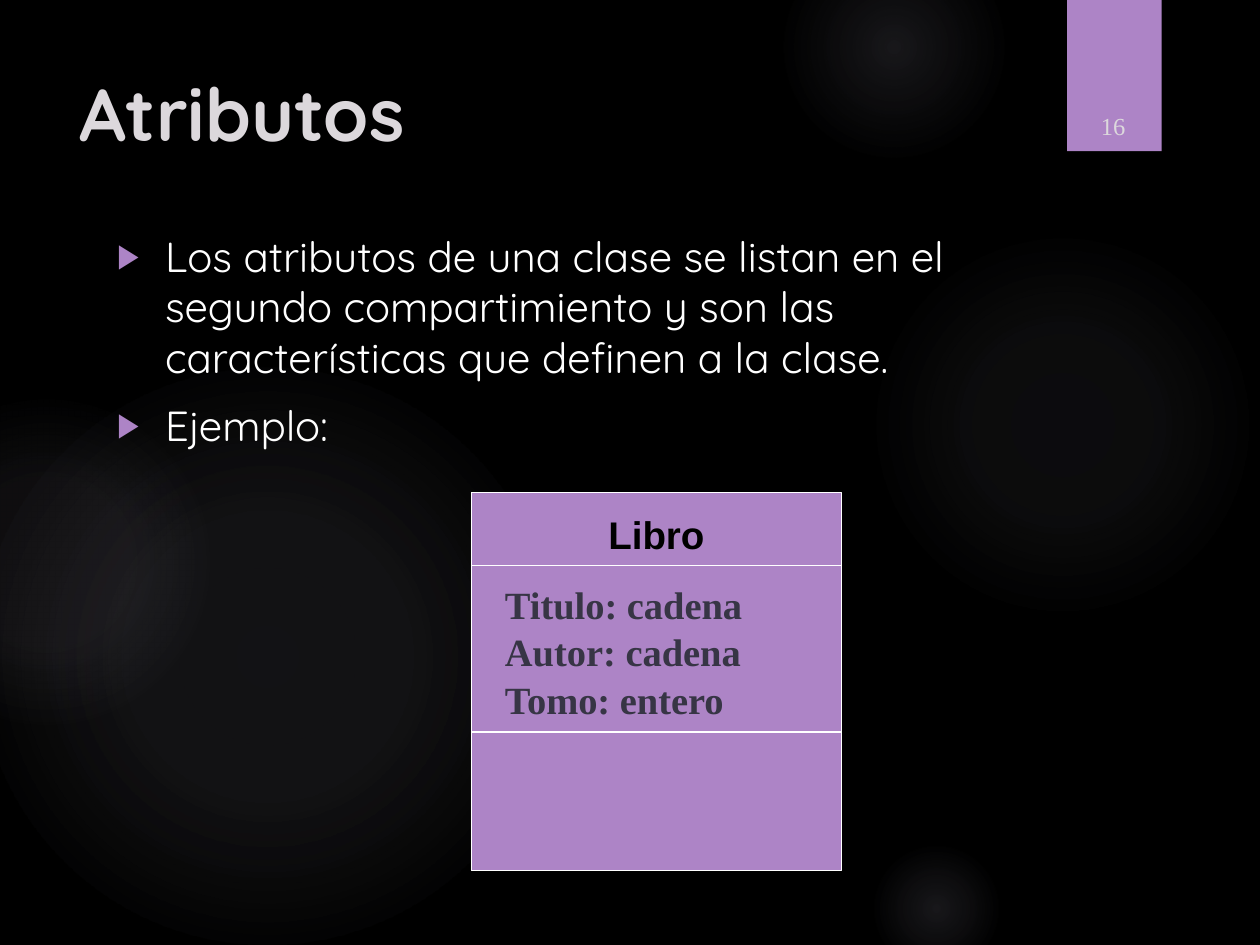
"""Build the slide on class attributes with its UML class box."""
from lxml import etree
from pptx import Presentation
from pptx.dml.color import RGBColor
from pptx.enum.shapes import MSO_CONNECTOR, MSO_SHAPE
from pptx.enum.text import MSO_ANCHOR, MSO_AUTO_SIZE, PP_ALIGN
from pptx.oxml import parse_xml
from pptx.oxml.ns import nsdecls, qn
from pptx.util import Inches, Pt

BLACK = RGBColor(0x00, 0x00, 0x00)
WHITE = RGBColor(0xFF, 0xFF, 0xFF)
PURPLE = RGBColor(0xAD, 0x84, 0xC6)
PALE = RGBColor(0xDC, 0xD8, 0xDC)
SLATE = RGBColor(0x37, 0x35, 0x45)
GLOW = RGBColor(0xAA, 0xA7, 0xBC)

TITLE = "Atributos"
POINTS = [
    "Los atributos de una clase se listan en el segundo compartimiento "
    "y son las características que definen a la clase.",
    "Ejemplo:",
]
PAGE_NUMBER = "16"
CLASS_NAME = "Libro"
ATTRIBUTES = [
    ("Titulo: cadena", 1.0),
    ("Autor: cadena", 0.5),
    ("Tomo: entero", 0.6),
]
GLOWS = [
    (6.89, 1.83, 3.08, [(0, 7), (36, 6), (69, 0)]),
    (6.22, -0.5, 1.75, [(0, 14), (36, 7), (73, 0)]),
    (6.89, 6.67, 1.08, [(0, 14), (36, 7), (66, 0)]),
    (-0.17, 2.92, 4.58, [(0, 11), (36, 10), (75, 0)]),
    (-0.92, 3.17, 2.58, [(0, 8), (36, 8), (72, 0)]),
]
CLASS_BOX = (3.74, 3.91, 2.94, 3)
SEPARATORS = [4.49, 5.81]


def place(shape, left, top, width, height):
    shape.left, shape.top = Inches(left), Inches(top)
    shape.width, shape.height = Inches(width), Inches(height)


def style(paragraph, name, size, color, bold=False):
    font = paragraph.font
    font.name, font.size, font.bold = name, Pt(size), bold
    font.color.rgb = color


def add_rect(shapes, box):
    rect = shapes.add_shape(MSO_SHAPE.RECTANGLE, *map(Inches, box))
    rect.shadow.inherit = False
    rect.fill.solid()
    rect.fill.fore_color.rgb = PURPLE
    return rect


def add_text(shapes, box, lines, wrap=True):
    frame = shapes.add_textbox(*map(Inches, box)).text_frame
    frame.word_wrap = wrap
    frame.text = "\n".join(lines)
    return frame


def add_glow(shapes, left, top, size, stops):
    glow = shapes.add_shape(MSO_SHAPE.OVAL, *map(Inches, (left, top, size, size)))
    glow.shadow.inherit = False
    glow.line.fill.background()
    stops_xml = "".join(
        f'<a:gs pos="{pos * 1000}"><a:srgbClr val="{GLOW}">'
        f'<a:alpha val="{alpha * 1000}"/></a:srgbClr></a:gs>'
        for pos, alpha in stops
    )
    gradient = parse_xml(
        f'<a:gradFill {nsdecls("a")}><a:gsLst>{stops_xml}</a:gsLst><a:path path="circle">'
        '<a:fillToRect l="50000" t="50000" r="50000" b="50000"/></a:path></a:gradFill>'
    )
    glow.element.spPr.find(qn("a:prstGeom")).addnext(gradient)
    return glow


def add_bullet(paragraph):
    props = paragraph._p.get_or_add_pPr()
    props.set("marL", str(Inches(0.38)))
    props.set("indent", str(Inches(-0.38)))
    color = etree.SubElement(props, qn("a:buClr"))
    etree.SubElement(color, qn("a:srgbClr"), val=str(PURPLE))
    etree.SubElement(props, qn("a:buSzPct"), val="80000")
    etree.SubElement(props, qn("a:buChar"), char="▶")


def add_class_box(shapes):
    left, top, width, height = CLASS_BOX
    group = shapes.add_group_shape().shapes
    outline = add_rect(group, CLASS_BOX)
    outline.line.color.rgb = WHITE
    outline.line.width = Pt(0.75)
    for y in SEPARATORS:
        ends = map(Inches, (left, y, left + width, y))
        separator = group.add_connector(MSO_CONNECTOR.STRAIGHT, *ends)
        separator.line.color.rgb = WHITE
        separator.line.width = Pt(0.75)
        etree.SubElement(separator.element.spPr, qn("a:effectLst"))

    heading = add_text(group, (left, top + 0.1, width, 0.47), [CLASS_NAME])
    heading.auto_size = MSO_AUTO_SIZE.SHAPE_TO_FIT_TEXT
    heading.paragraphs[0].alignment = PP_ALIGN.CENTER
    style(heading.paragraphs[0], "Arial", 22, BLACK, bold=True)

    names = [name for name, _ in ATTRIBUTES]
    attributes = add_text(group, (3.91, 4.56, 2.1, 1.24), names, wrap=False)
    attributes.auto_size = MSO_AUTO_SIZE.SHAPE_TO_FIT_TEXT
    for index, (paragraph, (_, spacing)) in enumerate(zip(attributes.paragraphs, ATTRIBUTES)):
        paragraph.line_spacing = spacing
        paragraph.space_before = Pt(12 if index else 0)
        style(paragraph, "Times New Roman", 22, SLATE, bold=True)


def main():
    prs = Presentation()
    prs.slide_width, prs.slide_height = Inches(10), Inches(7.5)
    slide = prs.slides.add_slide(prs.slide_layouts[1])
    slide.background.fill.solid()
    slide.background.fill.fore_color.rgb = BLACK
    title, body = slide.placeholders

    for glow in GLOWS:
        title.element.addprevious(add_glow(slide.shapes, *glow).element)
    tab = add_rect(slide.shapes, (8.47, 0, 0.75, 1.2))
    tab.line.fill.background()
    title.element.addprevious(tab.element)

    place(title, 0.53, 0.49, 7.72, 1.53)
    title.text_frame.text = TITLE
    place(body, 0.83, 1.78, 7.56, 5.12)
    body.text_frame.text = "\n".join(POINTS)
    for placeholder in (title, body):
        placeholder.text_frame.vertical_anchor = MSO_ANCHOR.TOP
        placeholder.text_frame.auto_size = MSO_AUTO_SIZE.NONE
    heading = title.text_frame.paragraphs[0]
    heading.alignment = PP_ALIGN.LEFT
    style(heading, "Quicksand", 42, PALE, bold=True)
    for index, point in enumerate(body.text_frame.paragraphs):
        add_bullet(point)
        point.space_before = Pt(10 if index else 0)
        style(point, "Quicksand", 24, WHITE)

    number = add_text(slide.shapes, (8.49, 0.32, 0.69, 0.84), [PAGE_NUMBER])
    number.vertical_anchor = MSO_ANCHOR.BOTTOM
    number.paragraphs[0].alignment = PP_ALIGN.CENTER
    style(number.paragraphs[0], "Times New Roman", 14, PALE)

    add_class_box(slide.shapes)
    prs.save("out.pptx")


if __name__ == "__main__":
    main()
